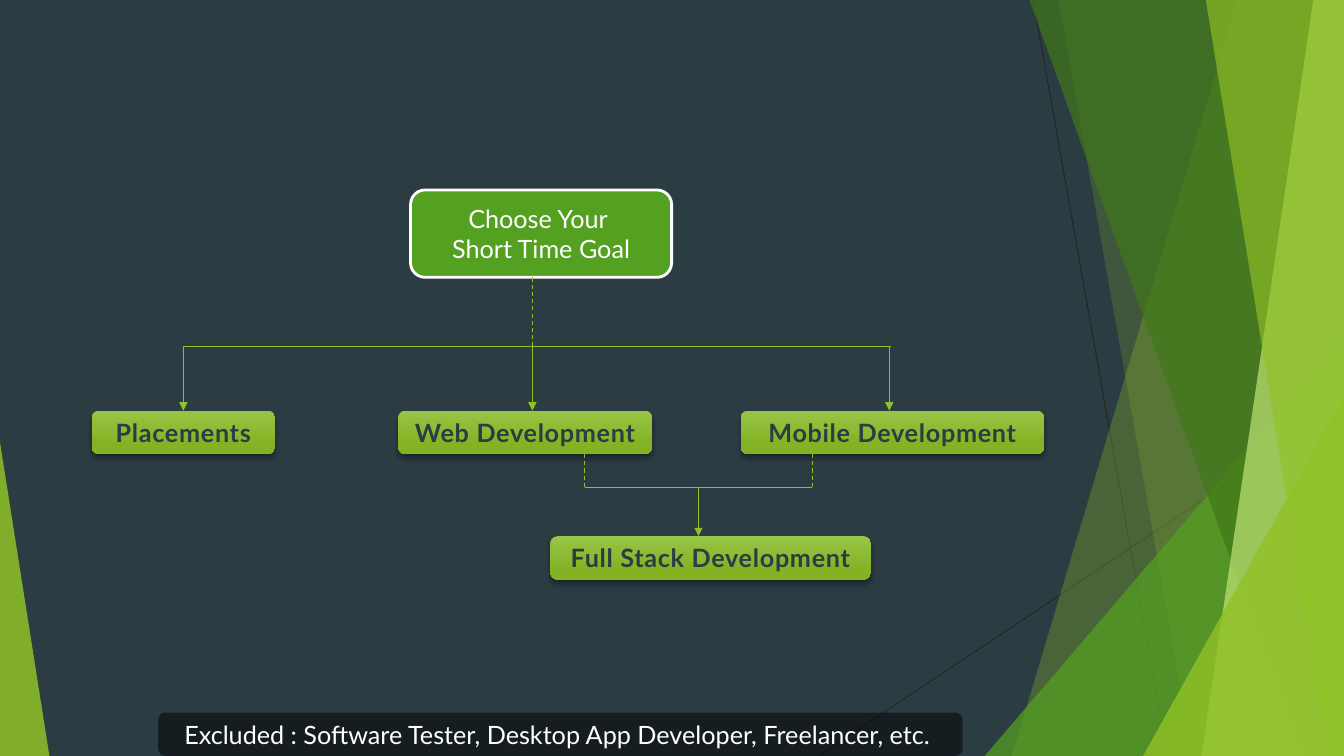
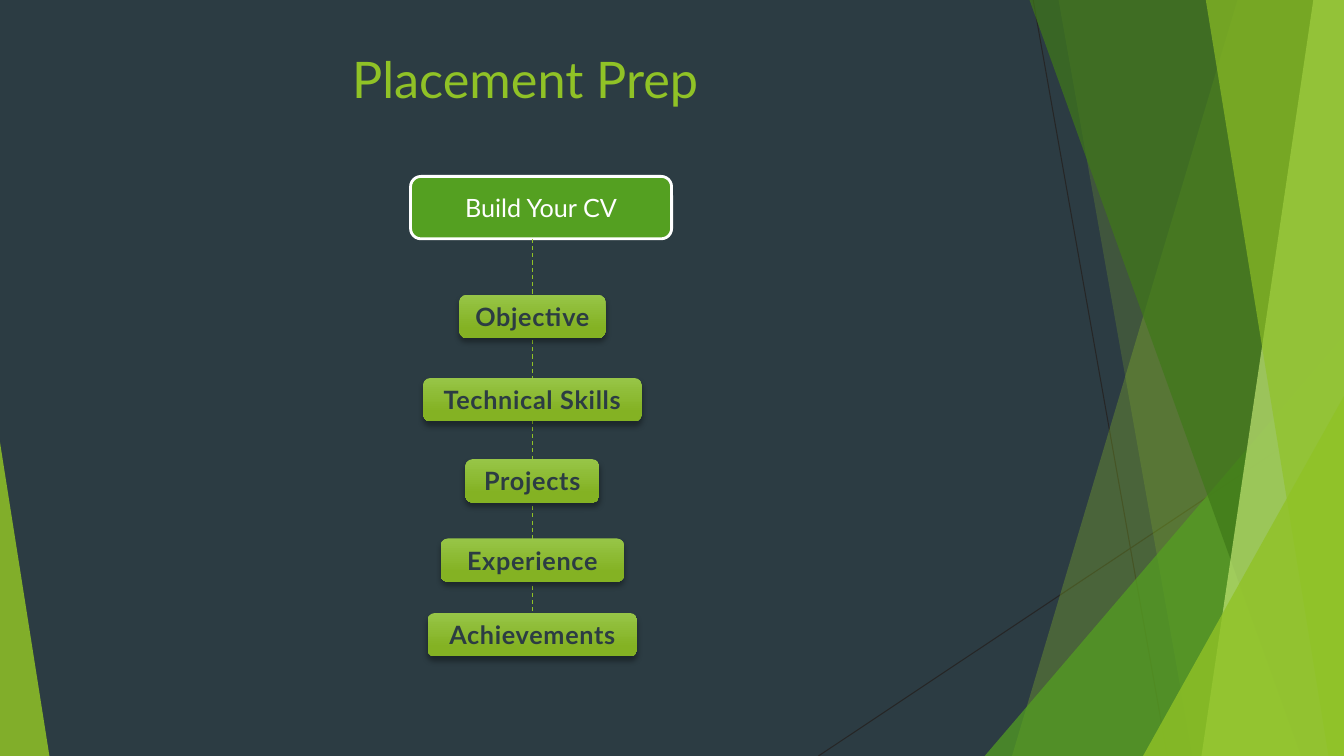
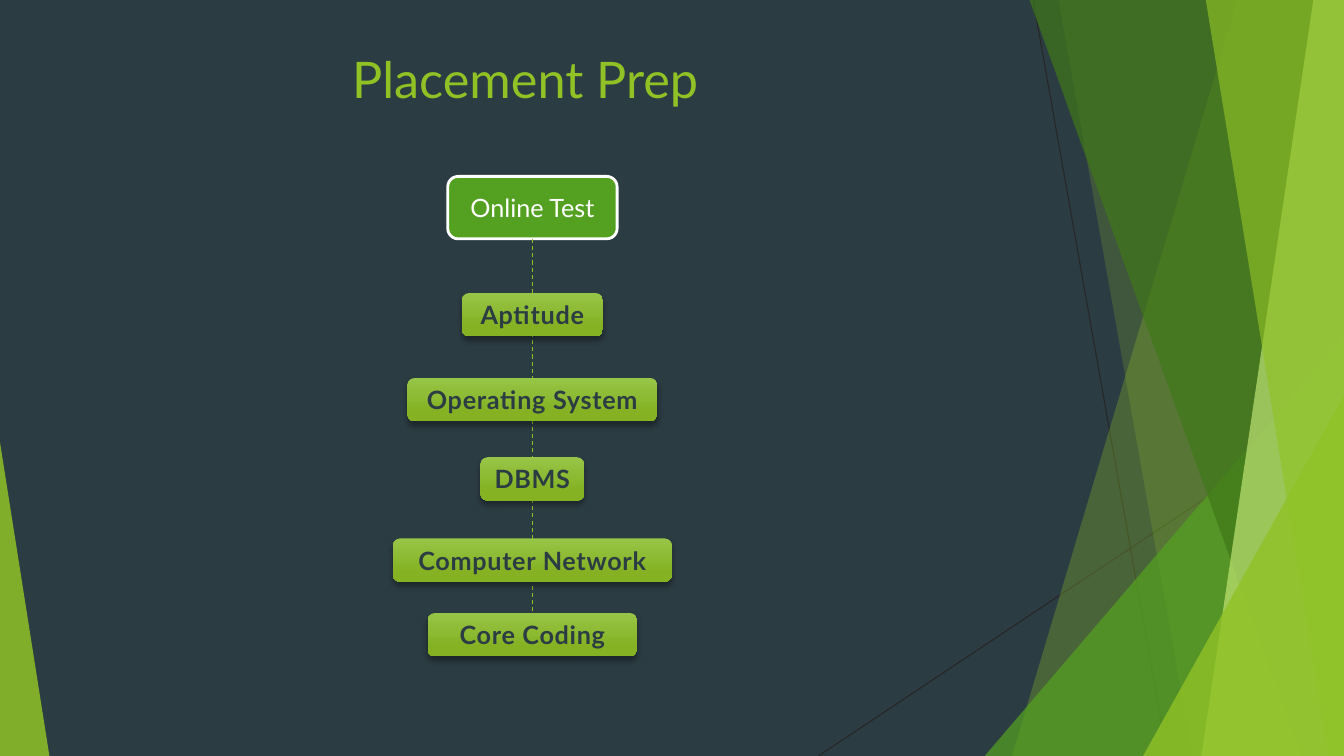
from dataclasses import dataclass

from lxml.etree import SubElement
from pptx import Presentation
from pptx.dml.color import RGBColor
from pptx.enum.dml import MSO_LINE
from pptx.enum.shapes import MSO_CONNECTOR, MSO_SHAPE
from pptx.enum.text import MSO_ANCHOR, PP_ALIGN
from pptx.oxml.ns import qn
from pptx.util import Pt


@dataclass(frozen=True)
class Theme:
    background: str = "2C3C43"
    lime: str = "90C226"
    green: str = "54A021"
    dark_green: str = "3F7819"
    pale_lime: str = "C0E474"
    chip_top: str = "97C547"
    chip_bottom: str = "84B223"
    white: str = "FFFFFF"
    black: str = "000000"
    hairline: str = "262626"
    font: str = "Lato"
    title_size: int = 36
    body_size: int = 18


THEME = Theme()
WIDTH, HEIGHT = 960, 540
AXIS = 380.3  # centre line of the flow charts
CHIP_HEIGHT = 31


def rgb(value):
    return RGBColor.from_string(value)


def write_text(shape, text, color=THEME.white, size=THEME.body_size, bold=False,
               spacing=0, anchor=MSO_ANCHOR.MIDDLE):
    """Fill a shape with centred text, one paragraph per line."""
    frame = shape.text_frame
    frame.word_wrap = True
    frame.vertical_anchor = anchor
    for index, line in enumerate(text.split("\n")):
        paragraph = frame.add_paragraph() if index else frame.paragraphs[0]
        paragraph.alignment = PP_ALIGN.CENTER
        run = paragraph.add_run()
        run.text = line
        run.font.name = THEME.font
        run.font.size = Pt(size)
        run.font.bold = bold
        run.font.color.rgb = rgb(color)
        if spacing:
            run.font._element.set("spc", str(int(spacing * 100)))


class Deck:
    def __init__(self):
        self.presentation = Presentation()
        self.presentation.slide_width = Pt(WIDTH)
        self.presentation.slide_height = Pt(HEIGHT)
        fill = self.presentation.slide_master.background.fill
        fill.solid()
        fill.fore_color.rgb = rgb(THEME.background)
        self.slide = None

    def new_slide(self, title=None):
        layout = self.presentation.slide_layouts[6]
        self.slide = self.presentation.slides.add_slide(layout)
        self.backdrop()
        if title:
            box = self.slide.shapes.add_textbox(Pt(46.5), Pt(31), Pt(657.4), Pt(77.8))
            write_text(box, title, color=THEME.lime, size=THEME.title_size,
                       anchor=MSO_ANCHOR.TOP)

    # Basic elements
    def paint(self, shape, color, opacity=100):
        shape.shadow.inherit = False
        shape.line.fill.background()
        shape.fill.solid()
        shape.fill.fore_color.rgb = rgb(color)
        if opacity < 100:
            color_element = shape.element.spPr.find(qn("a:solidFill"))[0]
            SubElement(color_element, qn("a:alpha"), val=str(opacity * 1000))

    def preset(self, kind, left, top, width, height, color, opacity=100):
        shape = self.slide.shapes.add_shape(kind, Pt(left), Pt(top), Pt(width), Pt(height))
        self.paint(shape, color, opacity)
        return shape

    def line(self, start, end, color=THEME.lime, width=1, dashed=False, arrow=False):
        connector = self.slide.shapes.add_connector(
            MSO_CONNECTOR.STRAIGHT, *(Pt(value) for value in (*start, *end)))
        connector.line.color.rgb = rgb(color)
        connector.line.width = Pt(width)
        if dashed:
            connector.line.dash_style = MSO_LINE.DASH
        properties = connector.element.spPr
        if arrow:
            SubElement(properties.find(qn("a:ln")), qn("a:tailEnd"), type="triangle")
        SubElement(properties, qn("a:effectLst"))

    def dashed_line(self, x, top, bottom):
        self.line((x, top), (x, bottom), width=0.75, dashed=True)

    def arrow_down(self, x, top, bottom):
        self.line((x, top), (x, bottom), arrow=True)

    # Faceted backdrop
    def facet(self, top_left, bottom_left, color, opacity):
        """A full-height panel from a slanted left edge to the slide's right edge."""
        top = -0.6
        builder = self.slide.shapes.build_freeform(Pt(top_left), Pt(top))
        corners = [(WIDTH, top), (WIDTH, HEIGHT), (bottom_left, HEIGHT)]
        builder.add_line_segments([(Pt(x), Pt(y)) for x, y in corners], close=True)
        self.paint(builder.convert_to_shape(), color, opacity)

    def corner(self, left, top, width, apex, color, opacity):
        """A triangle standing on the slide's bottom edge."""
        shape = self.preset(MSO_SHAPE.ISOSCELES_TRIANGLE, left, top, width,
                            HEIGHT - top, color, opacity)
        shape.adjustments[0] = apex

    def backdrop(self):
        self.line((738, 0), (833.8, HEIGHT), THEME.hairline, 0.75)
        self.line((WIDTH, 290), (584.6, HEIGHT), THEME.hairline, 0.75)
        self.facet(884.2, 722.9, THEME.lime, 30)
        self.facet(756, 851.8, THEME.lime, 20)
        self.corner(703.4, 239.8, 256.6, 1, THEME.green, 72)
        self.facet(735.2, 929.5, THEME.dark_green, 70)
        self.facet(938.2, 858.2, THEME.pale_lime, 70)
        self.facet(861.2, 949, THEME.lime, 65)
        self.corner(816.5, 283, 143.5, 1, THEME.lime, 80)
        self.corner(0, 316, 35.3, 0, THEME.lime, 85)

    # Flow chart elements
    def head(self, text, center, top, width, height):
        shape = self.preset(MSO_SHAPE.ROUNDED_RECTANGLE, center - width / 2, top,
                            width, height, THEME.green)
        shape.line.color.rgb = rgb(THEME.white)
        shape.line.width = Pt(2)
        write_text(shape, text)

    def chip(self, text, center, top, width):
        shape = self.preset(MSO_SHAPE.ROUNDED_RECTANGLE, center - width / 2, top,
                            width, CHIP_HEIGHT, THEME.chip_top)
        shape.fill.gradient()
        shape.fill.gradient_angle = 270
        stops = ((0, THEME.chip_top), (0.78, THEME.chip_bottom))
        for stop, (position, color) in zip(shape.fill.gradient_stops, stops):
            stop.position = position
            stop.color.rgb = rgb(color)
        shadow = SubElement(shape.element.spPr.find(qn("a:effectLst")), qn("a:outerShdw"),
                            blurRad=str(Pt(4)), dist=str(Pt(3)), dir="5400000",
                            algn="ctr", rotWithShape="0")
        shadow_color = SubElement(shadow, qn("a:srgbClr"), val=THEME.black)
        SubElement(shadow_color, qn("a:alpha"), val="35000")
        write_text(shape, text, color=THEME.background, bold=True, spacing=0.5)

    def note(self, text, left, width):
        shape = self.preset(MSO_SHAPE.ROUNDED_RECTANGLE, left, HEIGHT - CHIP_HEIGHT,
                            width, CHIP_HEIGHT, THEME.black, 50)
        write_text(shape, text)

    def chain(self, title, head, head_center, head_width, steps):
        """A titled slide with a head and a column of chips on one dashed line."""
        self.new_slide(title)
        self.head(head, head_center, 126, head_width, 44.6)
        self.dashed_line(AXIS, 170.6, 442.8)
        for text, top, width in steps:
            self.chip(text, AXIS, top, width)


def goal_slide(deck):
    bus, goals_top = 247.7, 293.3
    goals_bottom = goals_top + CHIP_HEIGHT
    join, full_stack_top = 348.2, 383
    web_exit, mobile_exit = 417.6, 580.3

    deck.new_slide()
    deck.head("Choose Your \nShort Time Goal", 386.5, 135.7, 186.5, 62.4)
    deck.dashed_line(AXIS, 198.2, bus)

    # Three goals below the bus
    deck.line((131, bus), (636.5, bus))
    for text, arrow_x, center, width in (
            ("Placements", 131, 131, 131),
            ("Web Development", AXIS, 375.1, 181.4),
            ("Mobile Development", 635.2, 637.5, 216.7)):
        deck.chip(text, center, goals_top, width)
        deck.arrow_down(arrow_x, bus, goals_top)

    # Two goals join into one
    deck.chip("Full Stack Development", 507.6, full_stack_top, 229)
    for x in (web_exit, mobile_exit):
        deck.dashed_line(x, goals_bottom, join)
    deck.line((web_exit, join), (mobile_exit, join))
    deck.arrow_down((web_exit + mobile_exit) / 2, join, full_stack_top)

    deck.note("Excluded : Software Tester, Desktop App Developer, Freelancer, etc. ",
              113, 574.6)


def main():
    deck = Deck()
    goal_slide(deck)
    deck.chain("Placement Prep", "Build Your CV", 386.5, 186.5, (
        ("Objective", 210.5, 104.4),
        ("Technical Skills", 270, 156),
        ("Projects", 328, 95.8),
        ("Experience", 384.6, 131),
        ("Achievements", 437.9, 149.8)))
    deck.chain("Placement Prep", "Online Test", AXIS, 121, (
        ("Aptitude", 209.3, 100.8),
        ("Operating System", 270, 178.6),
        ("DBMS", 326.6, 74.2),
        ("Computer Network", 384.6, 199.4),
        ("Core Coding", 437.9, 149.8)))
    deck.presentation.save("out.pptx")


if __name__ == "__main__":
    main()
